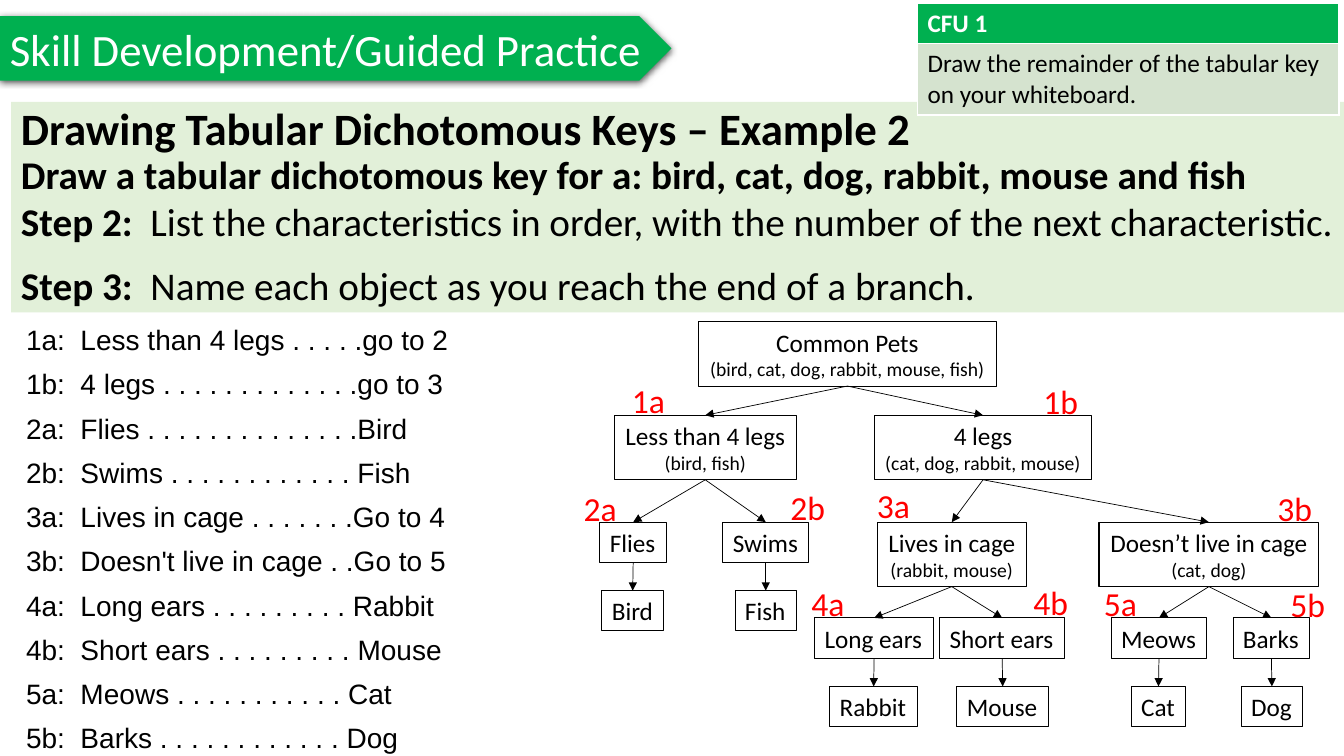
from dataclasses import dataclass
from lxml import etree
from pptx import Presentation
from pptx.dml.color import RGBColor
from pptx.enum.shapes import MSO_CONNECTOR, MSO_SHAPE
from pptx.enum.text import MSO_ANCHOR, MSO_AUTO_SIZE, PP_ALIGN
from pptx.oxml import parse_xml
from pptx.oxml.ns import nsdecls, qn
from pptx.util import Pt

PLATE, RECT = MSO_SHAPE.PENTAGON, MSO_SHAPE.RECTANGLE
LINE = MSO_CONNECTOR.STRAIGHT
LEFT, MID = PP_ALIGN.LEFT, PP_ALIGN.CENTER
TOP, CORE = MSO_ANCHOR.TOP, MSO_ANCHOR.MIDDLE
GROW = MSO_AUTO_SIZE.SHAPE_TO_FIT_TEXT


@dataclass(frozen=True)
class Theme:
    sans: str = "Calibri"
    list_font: str = "Arial"
    black: str = "000000"
    white: str = "FFFFFF"
    red: str = "FF0000"
    green: str = "00B050"
    pale: str = "E2F0D9"
    sage: str = "D5E3CF"
    head: int = 32
    step: int = 28
    tag: int = 24
    key: int = 20
    node: int = 18
    note: int = 14


T = Theme()
PX = 9144
SIZE = (1333, 750)

TITLE = "Skill Development/Guided Practice"
CHECK = ["CFU 1", "Draw the remainder of the tabular key on your whiteboard."]
INTRO = [
    ("Drawing Tabular Dichotomous Keys – Example 2", "", T.head),
    ("Draw a tabular dichotomous key for a: bird, cat, dog, rabbit, mouse and fish", "", T.step),
    ("Step 2:", "  List the characteristics in order, with the number of the next characteristic.", T.step),
    ("Step 3:", "  Name each object as you reach the end of a branch.", T.step),
]
KEY = [
    "1a:  Less than 4 legs . . . . .go to 2",
    "1b:  4 legs . . . . . . . . . . . . .go to 3",
    "2a:  Flies . . . . . . . . . . . . . .Bird",
    "2b:  Swims . . . . . . . . . . . . Fish",
    "3a:  Lives in cage . . . . . . .Go to 4",
    "3b:  Doesn't live in cage . .Go to 5",
    "4a:  Long ears . . . . . . . . . Rabbit",
    "4b:  Short ears . . . . . . . . . Mouse",
    "5a:  Meows . . . . . . . . . . . Cat",
    "5b:  Barks . . . . . . . . . . . . Dog",
]
ROWS = {
    319: [("Common Pets", "(bird, cat, dog, rabbit, mouse, fish)", 693, 295, None)],
    412: [("Less than 4 legs", "(bird, fish)", 609, 181, "Common Pets"),
          ("4 legs", "(cat, dog, rabbit, mouse)", 867, 216, "Common Pets")],
    518: [("Flies", "", 595, 66, "Less than 4 legs"),
          ("Swims", "", 717, 85, "Less than 4 legs"),
          ("Lives in cage", "(rabbit, mouse)", 870, 148, "4 legs"),
          ("Doesn’t live in cage", "(cat, dog)", 1090, 218, "4 legs")],
    586: [("Bird", "", 597, 61, "Flies"),
          ("Fish", "", 729, 61, "Swims")],
    613: [("Long ears", "", 808, 118, "Lives in cage"),
          ("Short ears", "", 932, 124, "Lives in cage"),
          ("Meows", "", 1102, 95, "Doesn’t live in cage"),
          ("Barks", "", 1223, 76, "Doesn’t live in cage")],
    681: [("Rabbit", "", 823, 87, "Long ears"),
          ("Mouse", "", 949, 91, "Short ears"),
          ("Cat", "", 1122, 54, "Meows"),
          ("Dog", "", 1231, 61, "Barks")],
}
TAGS = {
    "1a": (617, 372), "1b": (1025, 373), "2a": (569, 479), "2b": (774, 478),
    "3a": (860, 476), "3b": (1257, 479), "4a": (795, 573), "4b": (1015, 572),
    "5a": (1085, 573), "5b": (1270, 574),
}

deck = Presentation()
deck.slide_width, deck.slide_height = (n * PX for n in SIZE)
slide = deck.slides.add_slide(deck.slide_layouts[6])
shapes = slide.shapes


def emu(*nums):
    return [n * PX for n in nums]


def tint(name):
    return RGBColor.from_string(name)


def style(font, size, color=T.black, face=T.sans, bold=False):
    font.size, font.name, font.bold = Pt(size), face, bold
    font.color.rgb = tint(color)


def block(kind, area, fill=None, edge=None):
    shape = shapes.add_shape(kind, *emu(*area))
    shape.shadow.inherit = False
    if fill:
        shape.fill.solid()
        shape.fill.fore_color.rgb = tint(fill)
    else:
        shape.fill.background()
    if edge:
        shape.line.color.rgb = tint(edge)
        shape.line.width = Pt(0.75)
    else:
        shape.line.fill.background()
    return shape


def write(shape, lines, wrap=False, anchor=TOP, align=LEFT):
    frame = shape.text_frame
    frame.text = "\n".join(lines)
    frame.word_wrap, frame.vertical_anchor = wrap, anchor
    for para in frame.paragraphs:
        para.alignment = align
    return frame.paragraphs


def link(start, end):
    wire = shapes.add_connector(LINE, 0, 0, 0, 0)
    wire.begin_connect(start, 2)
    wire.end_connect(end, 0)
    wire.line.color.rgb = tint(T.black)
    wire.line.width = Pt(0.5)
    tip = etree.SubElement(wire.line._get_or_add_ln(), qn("a:tailEnd"))
    tip.set("type", "triangle")
    etree.SubElement(wire._element.spPr, qn("a:effectLst"))


plate = block(PLATE, (0, 16, 666, 64), T.green)
style(write(plate, [TITLE], anchor=CORE)[0].runs[0].font, T.head, T.white)
glow = plate._element.spPr.find(qn("a:effectLst"))
glow.append(parse_xml(
    f'<a:outerShdw {nsdecls("a")} blurRad="57150" dist="19050" dir="5400000">'
    '<a:srgbClr val="000000"><a:alpha val="63000"/></a:srgbClr></a:outerShdw>'))

band = block(RECT, (11, 101, 1340, 209), T.pale)
paras = write(band, [lead for lead, rest, size in INTRO], wrap=True)
for para, (lead, rest, size) in zip(paras, INTRO):
    style(para.runs[0].font, size, bold=True)
    if rest:
        run = para.add_run()
        run.text = rest
        style(run.font, size)
        para.space_after = Pt(12)
    else:
        para.line_spacing = 0.9

body = shapes.add_textbox(*emu(16, 319, 540, 431))
for i, para in enumerate(write(body, KEY, wrap=True)):
    style(para.runs[0].font, T.key, face=T.list_font)
    para.line_spacing = 0.9
    if i:
        para.space_before = Pt(10)

nodes = {}
for top, row in ROWS.items():
    for name, note, left, width, root in row:
        box = block(RECT, (left, top, width, 64 if note else 40), edge=T.black)
        lines = [name, note] if note else [name]
        paras = write(box, lines, anchor=CORE, align=MID if note else LEFT)
        for para, size in zip(paras, (T.node, T.note)):
            style(para.runs[0].font, size)
        nodes[name] = box
        if root:
            link(nodes[root], box)

for name, (left, top) in TAGS.items():
    tag = shapes.add_textbox(*emu(left, top, 56, 50))
    style(write(tag, [name])[0].runs[0].font, T.tag, T.red)
    tag.text_frame.auto_size = GROW

grid = shapes.add_table(2, 1, *emu(910, 3, 418, 110)).table
grid.horz_banding = False
looks = [(39, T.green, T.white, True), (71, T.sage, T.black, False)]
for i, (high, fill, color, bold) in enumerate(looks):
    grid.rows[i].height = high * PX
    cell = grid.cell(i, 0)
    cell.fill.solid()
    cell.fill.fore_color.rgb = tint(fill)
    cell.text_frame.text = CHECK[i]
    style(cell.text_frame.paragraphs[0].runs[0].font, T.node, color, bold=bold)

deck.save("out.pptx")
